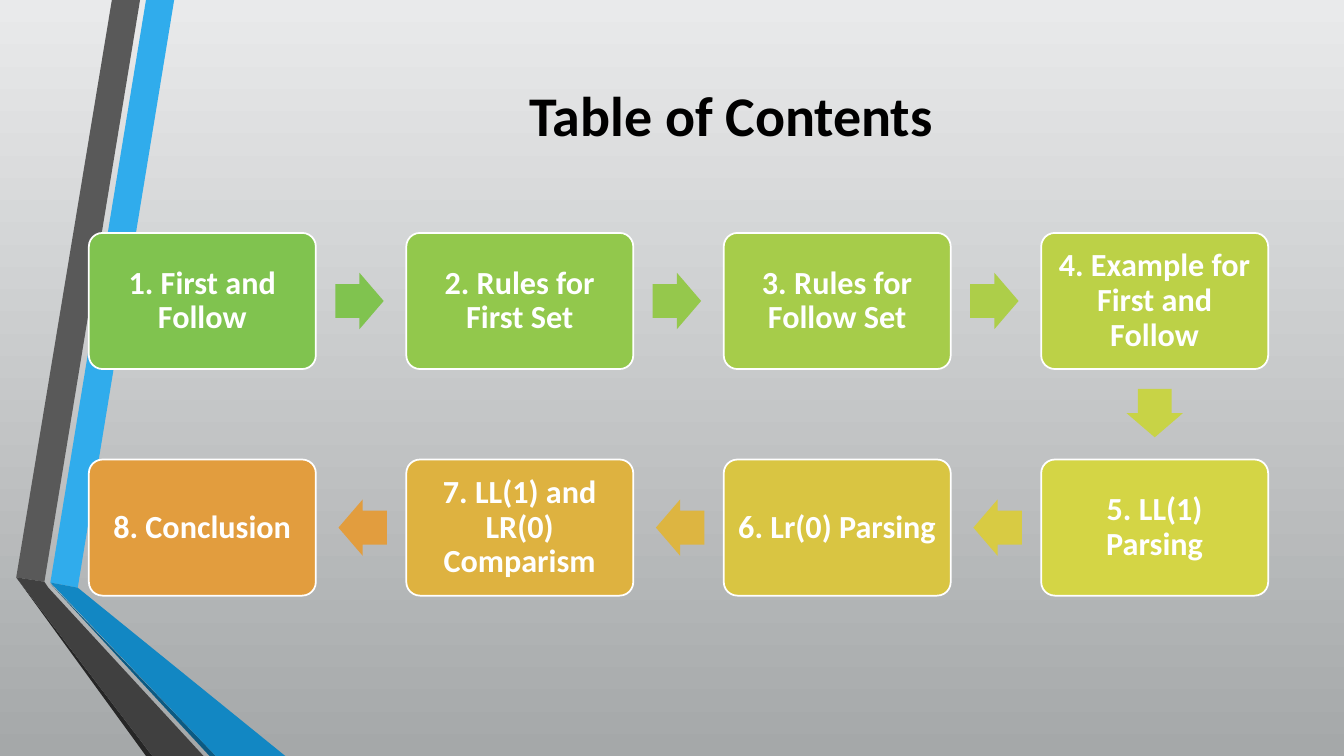
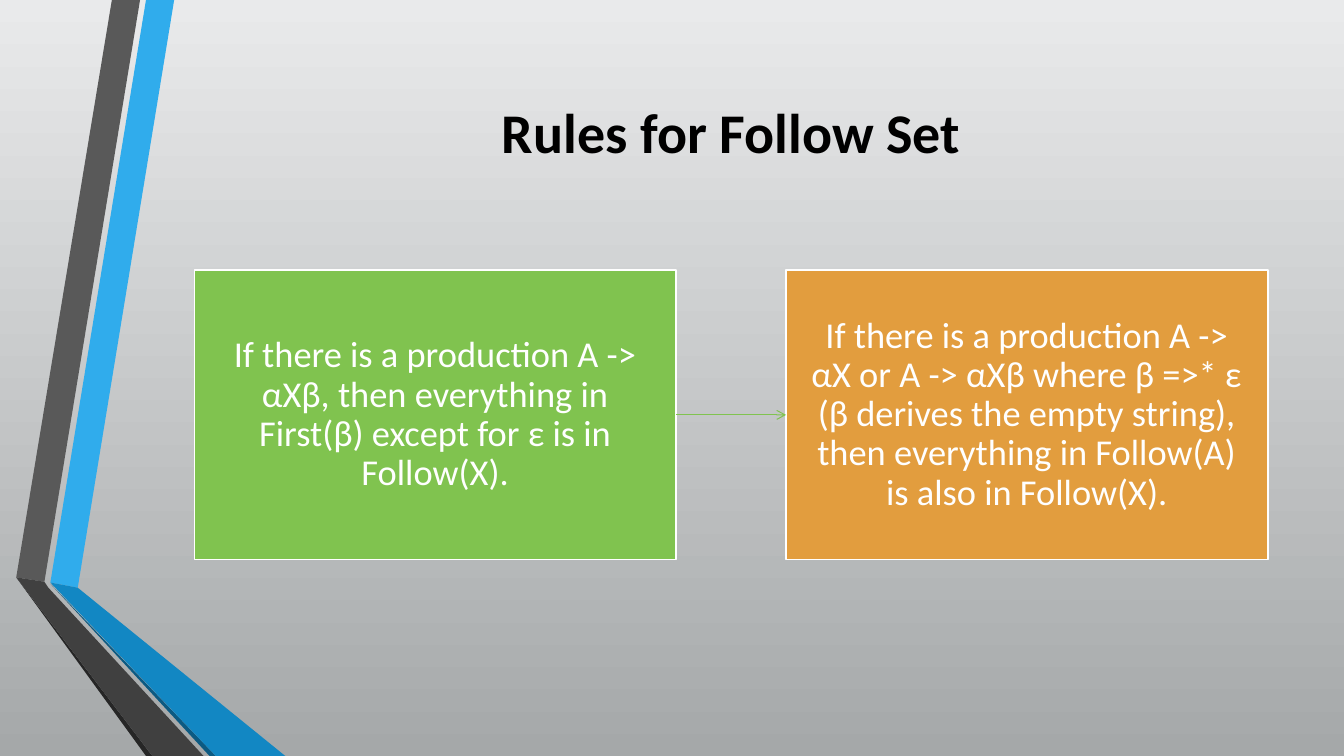
from lxml.etree import SubElement as Sub
from pptx import Presentation
from pptx.dml.color import RGBColor as Rgb
from pptx.enum.shapes import MSO_CONNECTOR as Link, MSO_SHAPE as Kind
from pptx.enum.text import MSO_ANCHOR as Anchor, PP_ALIGN as Align
from pptx.oxml.ns import qn
from pptx.util import Cm, Pt

FONT = "Calibri"
HUES = {
    "black": "000000", "white": "FFFFFF", "top": "E9EAEB", "base": "A5A8A9",
    "sky": "30ACEC", "blue": "1287C3", "navy": "0C5A82",
    "gray": "595959", "coal": "404040", "ink": "262626",
    "green": "80C34F", "orange": "E29D3E",
}
BANDS = [
    ("sky", [(1.27, 14.68), (1.96, 14.81), (4.39, 0), (3.68, 0)]),
    ("gray", [(3.53, 0), (2.82, 0), (0.41, 14.55), (1.12, 14.66)]),
    ("ink", [(0.41, 14.55), (3.68, 19.05), (3.84, 19.05)]),
    ("navy", [(1.27, 14.71), (5.28, 19.05), (5.44, 19.05)]),
    ("blue", [(1.27, 14.68), (5.44, 19.05), (7.19, 19.05), (1.96, 14.81)]),
    ("coal", [(5.13, 19.05), (1.22, 14.81), (1.12, 14.66), (0.41, 14.55),
              (3.84, 19.05)]),
]
TOPICS = [
    ("1. First and Follow", "80C34F", "80C34F"),
    ("2. Rules for First Set", "92C84C", "95C84C"),
    ("3. Rules for Follow Set", "A6CC4A", "ADCE49"),
    ("4. Example for First and Follow", "BCD147", "C8D346"),
    ("5. LL(1) Parsing", "D4D545", "D8CB43"),
    ("6. Lr(0) Parsing", "D9C542", "DDB541"),
    ("7. LL(1) and LR(0) Comparism", "DEB240", "E29D3E"),
    ("8. Conclusion", "E29D3E", None),
]
RULES = [
    ("If there is a production A -> αXβ, then everything in First(β) "
     "except for ε is in Follow(X).", "green"),
    ("If there is a production A -> αX or A -> αXβ where β =>* ε "
     "(β derives the empty string), then everything in Follow(A) "
     "is also in Follow(X).", "orange"),
]
COLS = 4
STEP_X, STEP_Y = 8, 5.71


def tint(name):
    return Rgb.from_string(HUES.get(name, name))


def paint(shape, hue, edge=None):
    shape.shadow.inherit = False
    shape.fill.solid()
    shape.fill.fore_color.rgb = tint(hue)
    if edge:
        shape.line.color.rgb = tint(edge)
        shape.line.width = Pt(1.25)
    else:
        shape.line.fill.background()


def write(shape, text, size, hue, bold):
    frame = shape.text_frame
    frame.text = text
    frame.word_wrap = True
    frame.vertical_anchor = Anchor.MIDDLE
    para = frame.paragraphs[0]
    para.alignment = Align.CENTER
    font = para.font
    font.name, font.size, font.bold = FONT, Pt(size), bold
    font.color.rgb = tint(hue)
    return para


def place(shape, left, top, wide, high):
    shape.left, shape.top = Cm(left), Cm(top)
    shape.width, shape.height = Cm(wide), Cm(high)


def add_card(slide, kind, spot, text, hue, size, bold, pad):
    card = slide.shapes.add_shape(kind, *map(Cm, spot))
    paint(card, hue, "white")
    write(card, text, size, "white", bold).line_spacing = 0.9
    frame = card.text_frame
    frame.margin_left = frame.margin_right = Cm(pad[0])
    frame.margin_top = frame.margin_bottom = Cm(pad[1])
    return card


def add_page(deck, layout, text, top, high):
    slide = deck.slides.add_slide(layout)
    title = slide.shapes.title
    place(title, 4.9, top, 27.05, high)
    write(title, text, 40, "black", True)
    return slide


def dress(layout, slide):
    fill = layout.background.fill
    fill.gradient()
    fill.gradient_angle = 270
    for stop, hue in zip(fill.gradient_stops, ("top", "base")):
        stop.color.rgb = tint(hue)
    for holder in list(layout.placeholders):
        if holder.placeholder_format.idx:
            layout.shapes.element.remove(holder.element)
    for hue, dots in BANDS:
        first, *rest = [(Cm(x), Cm(y)) for x, y in dots]
        pen = slide.shapes.build_freeform(*first)
        pen.add_line_segments(rest, close=True)
        band = pen.convert_to_shape()
        paint(band, hue)
        layout.shapes.element.append(band.element)


def cell(index):
    row, col = divmod(index, COLS)
    return (COLS - 1 - col if row else col), row


def draw_topics(slide):
    wide, high = 5.72, 3.43
    long, thick = 1.22, 1.42
    for index, (text, hue, next_hue) in enumerate(TOPICS):
        col, row = cell(index)
        left, top = 2.24 + col * STEP_X, 5.87 + row * STEP_Y
        card = add_card(slide, Kind.ROUNDED_RECTANGLE, (left, top, wide, high),
                        text, hue, 23, True, (0.25, 0.25))
        card.adjustments[0] = 0.1
        if not next_hue:
            continue
        to_col, to_row = cell(index + 1)
        dx, dy = to_col - col, to_row - row
        mid_x = left + wide / 2 + 0.495 * STEP_X * dx
        mid_y = top + high / 2 + 0.495 * STEP_Y * dy
        spot = (mid_x - long / 2, mid_y - thick / 2, long, thick)
        arrow = slide.shapes.add_shape(Kind.RIGHT_ARROW, *map(Cm, spot))
        arrow.adjustments[0] = 0.6
        arrow.adjustments[1] = 0.5
        arrow.rotation = 90 if dy else 90 - 90 * dx
        paint(arrow, next_hue)


def draw_rules(slide):
    wide, high, gap = 12.14, 7.29, 2.77
    cards = [
        add_card(slide, Kind.RECTANGLE,
                 (4.9 + i * (wide + gap), 6.81, wide, high),
                 text, hue, 26, False, (0.58, 0.64))
        for i, (text, hue) in enumerate(RULES)
    ]
    link = slide.shapes.add_connector(Link.STRAIGHT, 0, 0, 0, 0)
    link.begin_connect(cards[0], 3)
    link.end_connect(cards[1], 1)
    link.line.color.rgb = tint("green")
    link.line.width = Pt(0.75)
    Sub(link.line._get_or_add_ln(), qn("a:tailEnd"), type="arrow")
    Sub(link.element.spPr, qn("a:effectLst"))


def main():
    deck = Presentation()
    deck.slide_width, deck.slide_height = Cm(33.87), Cm(19.05)
    layout = deck.slide_layouts[5]
    topics = add_page(deck, layout, "Table of Contents", 1.02, 3.71)
    dress(layout, topics)
    draw_topics(topics)
    rules = add_page(deck, layout, "Rules for Follow Set", 1.9, 2.82)
    draw_rules(rules)
    deck.save("out.pptx")


if __name__ == "__main__":
    main()
